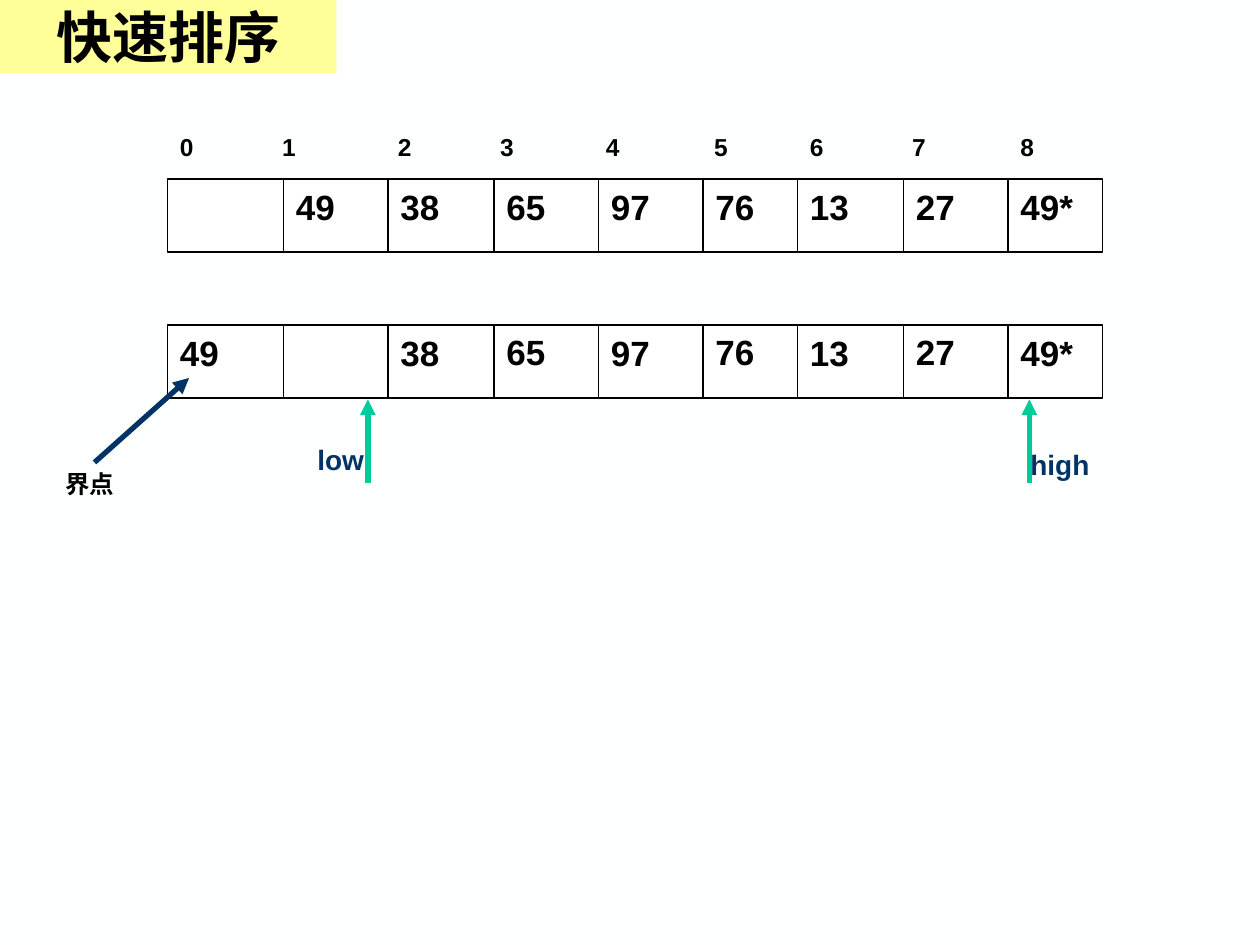
import pptx
import pptx.dml.color
import pptx.enum.shapes
import pptx.enum.text
import pptx.oxml.ns
import pptx.util
from lxml import etree

Inches = pptx.util.Inches
Pt = pptx.util.Pt
qn = pptx.oxml.ns.qn

BLACK, WHITE, NAVY, GREEN, YELLOW = "000000", "FFFFFF", "003366", "00CC99", "FFFF99"
CELL_LEFTS = [1.33, 2.25, 3.08, 3.92, 4.75, 5.58, 6.33, 7.17, 8]
ROW_WIDTH, ROW_HEIGHT = 7.42, 0.58
INDEX_TABS = [0.81, 1.73, 2.54, 3.38, 4.24, 5, 5.81, 6.67]


def colour(hex_value):
    return pptx.dml.color.RGBColor.from_string(hex_value)


class SortSlide:
    """Draws array rows, labels and pointers in one style on the current slide."""

    def __init__(self, slide):
        self.slide = slide
        self.shapes = slide.shapes
        slide.background.fill.solid()
        slide.background.fill.fore_color.rgb = colour("FEFFFF")

    def group(self):
        return self.shapes.add_group_shape().shapes

    def set_text(self, frame, text, size, font="Arial", text_colour=BLACK, **paragraph_format):
        frame.word_wrap = True
        paragraph = frame.paragraphs[0]
        for name, value in paragraph_format.items():
            setattr(paragraph, name, value)
        run = paragraph.add_run()
        run.text = text
        for name, value in {"name": font, "size": Pt(size), "bold": True}.items():
            setattr(run.font, name, value)
        run.font.color.rgb = colour(text_colour)
        return paragraph

    def label(self, text, left, top, width, height, size, text_colour=BLACK, parent=None):
        box = (parent or self.shapes).add_textbox(
            Inches(left), Inches(top), Inches(width), Inches(height))
        box.text_frame.auto_size = pptx.enum.text.MSO_AUTO_SIZE.SHAPE_TO_FIT_TEXT
        return self.set_text(box.text_frame, text, size, text_colour=text_colour,
                             space_before=Pt(round(size * 0.625, 1)))

    def box(self, left, top, width, height, fill, outline=None, parent=None):
        shape = (parent or self.shapes).add_shape(
            pptx.enum.shapes.MSO_SHAPE.RECTANGLE,
            Inches(left), Inches(top), Inches(width), Inches(height))
        shape.shadow.inherit = False
        shape.fill.solid()
        shape.fill.fore_color.rgb = colour(fill)
        if outline:
            shape.line.color.rgb = colour(outline)
            shape.line.width = Pt(0.75)
        else:
            shape.line.fill.background()
        return shape

    def line(self, start, end, line_colour=BLACK, width=0.75, arrow=False, parent=None):
        connector = (parent or self.shapes).add_connector(
            pptx.enum.shapes.MSO_CONNECTOR.STRAIGHT,
            *(Inches(value) for value in (*start, *end)))
        connector.line.color.rgb = colour(line_colour)
        connector.line.width = Pt(width)
        properties = connector._element.spPr
        etree.SubElement(properties, qn("a:effectLst"))
        if arrow:
            etree.SubElement(properties.find(qn("a:ln")), qn("a:tailEnd"), type="triangle")

    def array_frame(self, top):
        row = self.group()
        self.box(CELL_LEFTS[0], top, ROW_WIDTH, ROW_HEIGHT, WHITE, BLACK, row)
        for left in CELL_LEFTS[1:]:
            self.line((left, top), (left, top + ROW_HEIGHT), parent=row)

    def array_values(self, values, top, odd_top):
        for index, (left, value) in enumerate(zip(CELL_LEFTS, values)):
            if value:
                self.label(value, left, odd_top if index % 2 else top, 0.67, 0.44, 20)

    def index_row(self, top):
        indices = self.label("\t".join(str(i) for i in range(len(CELL_LEFTS))),
                             CELL_LEFTS[0], top, ROW_WIDTH, 0.34, 14)
        tab_list = etree.SubElement(indices._p.get_or_add_pPr(), qn("a:tabLst"))
        for stop in INDEX_TABS:
            etree.SubElement(tab_list, qn("a:tab"), pos=str(int(Inches(stop))), algn="l")

    def pointer(self, text, arrow_x, text_left, text_top):
        pair = self.group()
        self.line((arrow_x, 3.83), (arrow_x, 3.17), GREEN, 3, True, pair)
        self.label(text, text_left, text_top, 0.92, 0.37, 16, NAVY, pair)

    def title(self, text):
        banner = self.box(0, 0, 2.67, 0.58, YELLOW)
        banner.text_frame.vertical_anchor = pptx.enum.text.MSO_ANCHOR.MIDDLE
        self.set_text(banner.text_frame, text, 32, "Times New Roman",
                      alignment=pptx.enum.text.PP_ALIGN.CENTER)


def main():
    presentation = pptx.Presentation()
    presentation.slide_width, presentation.slide_height = Inches(10), Inches(7.5)
    sort = SortSlide(presentation.slides.add_slide(presentation.slide_layouts[6]))

    remaining = ["38", "65", "97", "76", "13", "27", "49*"]
    before_top, after_top = 1.42, 2.58
    sort.array_frame(after_top)
    sort.array_frame(before_top)
    sort.index_row(1)
    sort.array_values(["", "49", *remaining], before_top, before_top)
    sort.array_values(["49", "", *remaining], after_top, 2.57)

    sort.pointer("high", 8.17, 8.08, 3.5)
    sort.pointer("low", 2.92, 2.42, 3.46)
    sort.label("界点", 0.42, 3.67, 0.83, 0.34, 14)
    sort.line((0.75, 3.67), (1.5, 3), NAVY, 3, arrow=True)
    sort.title("快速排序")
    presentation.save("out.pptx")


if __name__ == "__main__":
    main()
